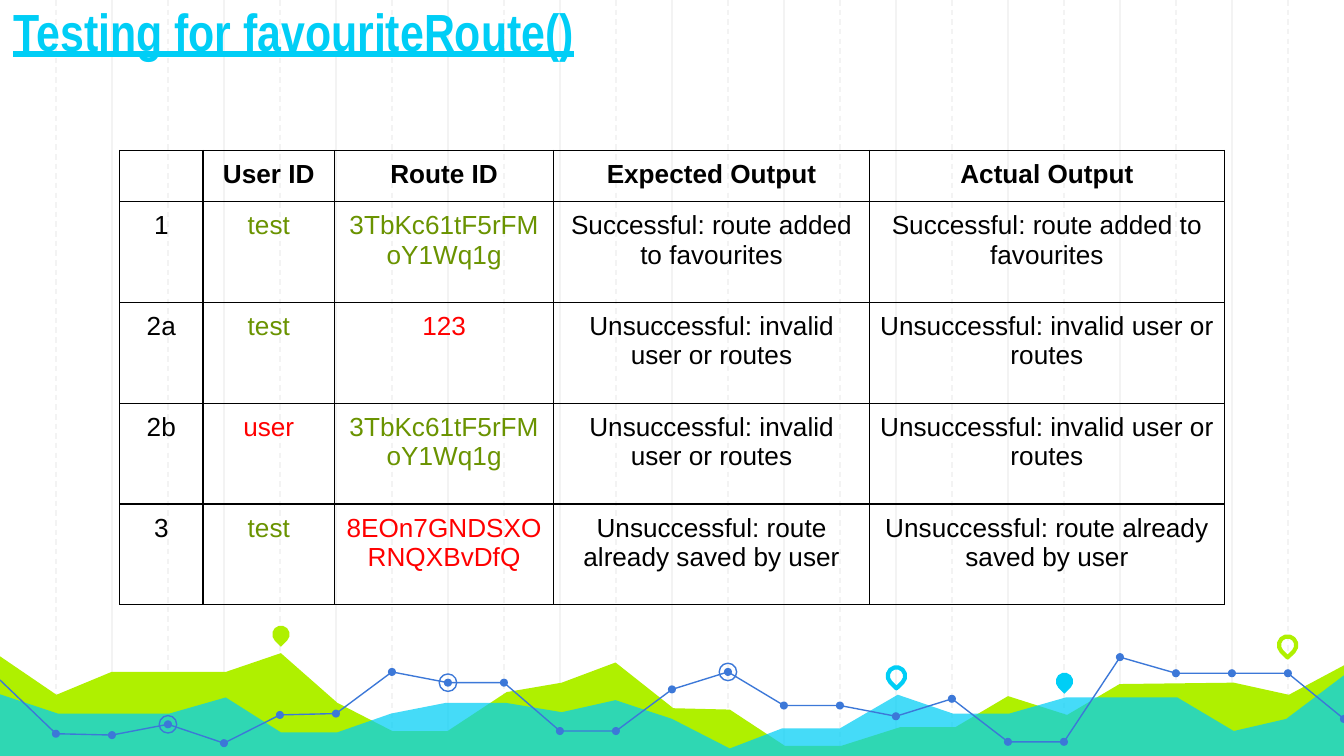
from pptx import Presentation, util as u
from pptx.dml.color import RGBColor
from pptx.enum import dml, shapes, text
from pptx.oxml.ns import qn
from lxml import etree

WIDTH = 10
HEIGHT = WIDTH * 9 / 16
STEP = WIDTH / 24
LIME, CYAN, BLUE, GREY = "AFF000", "00CEF6", "3C78D8", "F3F3F3"
BLACK, GREEN, RED = "000000", "6A9300", "FF0000"

LIME_HILLS = [
    (-0.02, 4.87), (0.42, 5.17), (0.83, 5), (1.68, 5), (2.09, 4.86), (2.51, 5.23),
    (2.92, 5.44), (3.33, 5.44), (3.77, 5.15), (4.18, 5.08), (4.58, 4.93), (5.01, 5.27),
    (5.43, 5.28), (5.84, 5.55), (6.26, 5.55), (6.7, 5.41), (7.11, 5.41), (7.5, 5.18),
    (7.94, 5.32), (8.33, 5.09), (9.18, 5.08), (9.59, 5.17), (10.02, 4.94)]
CYAN_HILLS = [
    (-0.02, 5.16), (0.43, 5.31), (1.26, 5.31), (1.68, 5.19), (2.09, 5.45), (2.51, 5.45),
    (2.91, 5.31), (3.32, 5.23), (3.76, 5.23), (4.18, 5.3), (4.58, 5.21), (5, 5.35),
    (5.43, 5.57), (5.82, 5.42), (6.25, 5.42), (6.68, 5.17), (7.09, 5.31), (7.51, 5.31),
    (7.93, 5.19), (8.76, 5.19), (9.18, 5.44), (9.57, 5.35), (10.02, 5.01)]
# Heights of the blue curve, one per grid step
CURVE = [5.06, 5.46, 5.47, 5.39, 5.53, 5.32, 5.31, 5, 5.08, 5.08, 5.44, 5.44, 5.13,
         5, 5.25, 5.25, 5.33, 5.2, 5.52, 5.52, 4.89, 5.01, 5.01, 5.01, 5.35]
CURVE_PARTS = [(0, 11), (11, 20), (20, 24)]
RINGED = (3, 8, 13)

COLUMNS = [0.62, 0.98, 1.63, 2.35, 2.64]
ROW_HEIGHTS = [0.38] + [0.75] * 4
HEADER = ["", "User ID", "Route ID", "Expected Output", "Actual Output"]
INVALID = "Unsuccessful: invalid user or routes"
# Number, user, user colour, route, route colour, outcome (expected and actual)
TESTS = [
    ("1", "test", GREEN, "3TbKc61tF5rFMoY1Wq1g", GREEN,
     "Successful: route added to favourites"),
    ("2a", "test", GREEN, "123", RED, INVALID),
    ("2b", "user", RED, "3TbKc61tF5rFMoY1Wq1g", GREEN, INVALID),
    ("3", "test", GREEN, "8EOn7GNDSXORNQXBvDfQ", RED,
     "Unsuccessful: route already saved by user")]


def rgb(color):
    return RGBColor.from_string(color)


def write(tf, words, size=14, font="Arial", color=BLACK, bold=False,
          underline=False, align=text.PP_ALIGN.CENTER):
    p = tf.paragraphs[0]
    p.alignment = align
    if not words:  # an empty cell still needs its text size
        etree.SubElement(p._p, qn("a:endParaRPr"), sz=str(size * 100))
        return
    r = p.add_run()
    r.text = words
    r.font.size, r.font.name = u.Pt(size), font
    r.font.bold, r.font.underline = bold, underline
    r.font.color.rgb = rgb(color)


def paint(sp, fill=None, line=None, weight=0.75, alpha=None):
    sp.shadow.inherit = False
    if fill:
        sp.fill.solid()
        sp.fill.fore_color.rgb = rgb(fill)
    else:
        sp.fill.background()
    if alpha:
        clr = sp._element.spPr.find(qn("a:solidFill"))[0]
        etree.SubElement(clr, qn("a:alpha"), val=str(alpha * 1000))
    if line:
        sp.line.color.rgb = rgb(line)
        sp.line.width = u.Pt(weight)
    else:
        sp.line.fill.background()


def add_centred(s, kind, x, y, size, **style):
    sp = s.shapes.add_shape(kind, u.Inches(x - size / 2), u.Inches(y - size / 2),
                            u.Inches(size), u.Inches(size))
    paint(sp, **style)
    return sp


def add_path(s, points, close=False, **style):
    pts = [(u.Inches(x), u.Inches(y)) for x, y in points]
    builder = s.shapes.build_freeform(*pts[0])
    builder.add_line_segments(pts[1:], close=close)
    paint(builder.convert_to_shape(), **style)


def add_grid(s):
    for i in range(1, 24):
        x = u.Inches(i * STEP)
        line = s.shapes.add_connector(shapes.MSO_CONNECTOR.STRAIGHT, x, 0, x,
                                      u.Inches(5.65))
        line.line.color.rgb = rgb(GREY)
        line.line.width = u.Pt(0.75)
        if i % 2:
            line.line.dash_style = dml.MSO_LINE.DASH
        etree.SubElement(line._element.spPr, qn("a:effectLst"))


def add_hills(s, ridge, **style):
    add_path(s, ridge + [(10.02, 5.65), (-0.03, 5.65)], close=True, **style)


def add_pin(s, x, y, **style):
    sp = add_centred(s, shapes.MSO_SHAPE.TEAR, x, y, 0.13, **style)
    sp.rotation = 135


def add_curve(s):
    points = [(i * STEP, y) for i, y in enumerate(CURVE)]
    for first, last in CURVE_PARTS:
        add_path(s, points[first:last + 1], line=BLUE)
    for x, y in points[1:]:
        add_centred(s, shapes.MSO_SHAPE.OVAL, x, y, 0.06, fill=BLUE)
    for i in RINGED:
        add_centred(s, shapes.MSO_SHAPE.OVAL, *points[i], 0.13, line=BLUE)


def set_borders(cell):
    tcPr = cell._tc.get_or_add_tcPr()
    for i, side in enumerate(("lnL", "lnR", "lnT", "lnB")):
        ln = etree.Element(qn("a:" + side), w=str(u.Pt(0.75)))
        fill = etree.SubElement(ln, qn("a:solidFill"))
        etree.SubElement(fill, qn("a:srgbClr"), val=BLACK)
        tcPr.insert(i, ln)


def add_results(s):
    table = s.shapes.add_table(
        len(ROW_HEIGHTS), len(COLUMNS), u.Inches(0.89), u.Inches(1.12),
        u.Inches(sum(COLUMNS)), u.Inches(sum(ROW_HEIGHTS))).table
    table.first_row = table.horz_banding = False
    for col, width in zip(table.columns, COLUMNS):
        col.width = u.Inches(width)
    rows = [[(words, BLACK) for words in HEADER]]
    for number, user, user_color, route, route_color, outcome in TESTS:
        rows.append([(number, BLACK), (user, user_color), (route, route_color),
                     (outcome, BLACK), (outcome, BLACK)])
    for i, row in enumerate(rows):
        table.rows[i].height = u.Inches(ROW_HEIGHTS[i])
        for j, (words, color) in enumerate(row):
            cell = table.cell(i, j)
            cell.margin_left = cell.margin_right = u.Inches(0.07)
            cell.margin_top = cell.margin_bottom = u.Inches(0.07)
            cell.fill.background()
            set_borders(cell)
            write(cell.text_frame, words, color=color, bold=i == 0)


def add_title(s):
    sp = s.shapes.title
    sp.left, sp.top, sp.width, sp.height = 0, 0, u.Inches(7.35), u.Inches(0.56)
    tf = sp.text_frame
    tf.word_wrap = True
    tf.auto_size = text.MSO_AUTO_SIZE.NONE
    tf.vertical_anchor = text.MSO_ANCHOR.BOTTOM
    tf.margin_left = tf.margin_right = tf.margin_top = tf.margin_bottom = u.Inches(0.1)
    write(tf, "Testing for favouriteRoute()", size=28, font="Arial Narrow", color=CYAN,
          bold=True, underline=True, align=text.PP_ALIGN.LEFT)
    s.shapes._spTree.append(sp._element)  # bring in front of the backdrop


def main():
    prs = Presentation()
    prs.slide_width, prs.slide_height = u.Inches(WIDTH), u.Inches(HEIGHT)
    s = prs.slides.add_slide(prs.slide_layouts[5])

    # Backdrop
    add_grid(s)
    add_hills(s, LIME_HILLS, fill=LIME)
    add_hills(s, CYAN_HILLS, fill=CYAN, alpha=73)
    add_pin(s, 2.09, 4.72, fill=LIME)
    add_pin(s, 6.67, 5.03, line=CYAN, weight=2.25)
    add_pin(s, 7.92, 5.07, fill=CYAN)
    add_curve(s)
    add_pin(s, 9.58, 4.8, line=LIME, weight=2.25)

    # Content
    add_title(s)
    add_results(s)
    prs.save("out.pptx")


if __name__ == "__main__":
    main()
